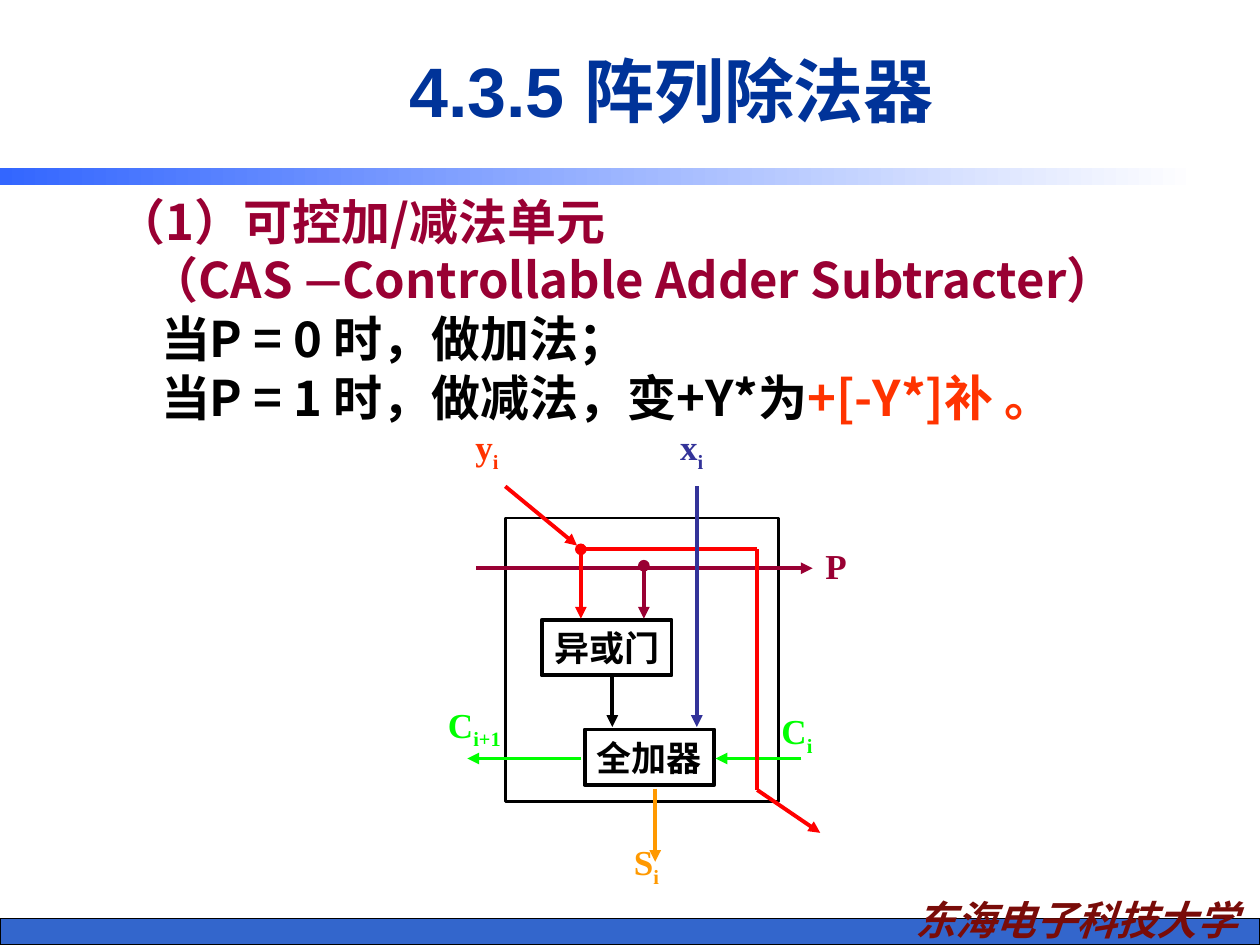
"""Build the slide on the array divider and its controllable add/subtract cell."""
import pptx
import pptx.dml.color
import pptx.enum.shapes
import pptx.enum.text
import pptx.oxml.ns
import pptx.util
from lxml import etree

Inches, Pt = pptx.util.Inches, pptx.util.Pt
ALIGN, ANCHOR = pptx.enum.text.PP_ALIGN, pptx.enum.text.MSO_ANCHOR
CJK, SERIF = "Noto Sans CJK SC", "Times New Roman"
COLORS = {
    "black": "000000", "white": "FFFFFF", "bar": "3366CC", "sky": "3366FF",
    "title": "003399", "school": "790C09", "maroon": "990033", "orange": "FF3300",
    "red": "FF0000", "indigo": "333399", "amber": "FF9900", "green": "00FF00",
}
TITLE = "4.3.5 阵列除法器"
SCHOOL = "东海电子科技大学"
BODY = [
    (0, [("（1）可控加/减法单元", CJK, "maroon")]),
    (0.26, [("（CAS ", CJK, "maroon"), ("—", "Lato", "maroon"),
            ("Controllable Adder Subtracter）", CJK, "maroon")]),
    (0.35, [("当P = 0 时，做加法；", CJK, "black")]),
    (0.35, [("当P = 1 时，做减法，变+Y*为", CJK, "black"), ("+[-Y*]补 。", CJK, "orange")]),
]
CELL = (4.01, 4.11, 2.17, 2.25)
UNITS = [("异或门", (4.3, 4.92, 1.03, 0.44)), ("全加器", (4.64, 5.79, 1.03, 0.44))]
WIRES = [
    ((4.61, 4.36), (6.01, 4.36), "red", None, None),
    ((3.78, 4.51), (6.45, 4.51), "maroon", None, "triangle"),
    ((4.61, 4.36), (4.61, 4.91), "red", "oval", "triangle"),
    ((5.11, 4.49), (5.11, 4.91), "maroon", "oval", "triangle"),
    ((4.01, 3.86), (4.58, 4.33), "red", None, "triangle"),
    ((5.53, 3.86), (5.53, 5.77), "indigo", None, "triangle"),
    ((4.86, 5.36), (4.86, 5.77), "black", None, "triangle"),
    ((5.2, 6.26), (5.2, 6.84), "amber", None, "triangle"),
    ((6.36, 6.02), (5.68, 6.02), "green", None, "triangle"),
    ((4.61, 6.02), (3.71, 6.02), "green", None, "triangle"),
    ((6.01, 4.36), (6.01, 6.27), "red", None, None),
    ((6.01, 6.27), (6.51, 6.61), "red", None, "triangle"),
]
SIGNALS = [
    ("P", "", "maroon", (6.45, 4.27, 0.37, 0.44)),
    ("x", "i", "indigo", (5.3, 3.33, 0.38, 0.48)),
    ("C", "i", "green", (5.95, 5.58, 0.75, 0.48)),
    ("y", "i", "orange", (3.64, 3.33, 0.45, 0.48)),
    ("C", "i+1", "green", (3.11, 5.53, 1.31, 0.48)),
    ("S", "i", "amber", (4.93, 6.62, 0.4, 0.48)),
]


def color(name):
    return pptx.dml.color.RGBColor.from_string(COLORS[name])


def add_child(parent, tag, **attributes):
    return etree.SubElement(parent, pptx.oxml.ns.qn(tag), attributes)


def set_font(font, size, name, shade):
    font.size, font.name, font.bold = Pt(size), name, True
    font.color.rgb = color(shade)


def add_span(para, text, size, name, shade):
    span = para.add_run()
    span.text = text
    set_font(span.font, size, name, shade)
    add_child(span.font._element, "a:ea", typeface=CJK)
    return span


def add_rect(page, place, fill=None, line=None):
    kind = pptx.enum.shapes.MSO_SHAPE.RECTANGLE
    box = page.shapes.add_shape(kind, *map(Inches, place))
    box.shadow.inherit = False
    if fill:
        box.fill.solid()
        box.fill.fore_color.rgb = color(fill)
    else:
        box.fill.background()
    if line:
        box.line.color.rgb = color("black")
        box.line.width = Pt(line)
    else:
        box.line.fill.background()
    return box


def centre(box, wrap=False):
    frame = box.text_frame
    frame.word_wrap = wrap
    frame.vertical_anchor = ANCHOR.MIDDLE
    para = frame.paragraphs[0]
    para.alignment = ALIGN.CENTER
    return para


def add_text(page, place):
    return page.shapes.add_textbox(*map(Inches, place))


def add_wire(page, start, end, shade, head, tail):
    kind = pptx.enum.shapes.MSO_CONNECTOR.STRAIGHT
    wire = page.shapes.add_connector(kind, *map(Inches, start + end))
    wire.line.color.rgb = color(shade)
    wire.line.width = Pt(2.25)
    outline = wire.line._get_or_add_ln()
    for tag, shape in (("a:headEnd", head), ("a:tailEnd", tail)):
        if shape:
            add_child(outline, tag, type=shape)
    add_child(wire._element.spPr, "a:effectLst")


def add_frame(page):
    add_rect(page, (0, 7.29, 10, 0.21), "bar", 0.75)
    school = add_text(page, (6.97, 7.05, 3.15, 0.49))
    add_span(centre(school), SCHOOL, 23, CJK, "school").font.italic = True
    band = add_rect(page, (0, 1.33, 9.51, 0.14))
    band.fill.gradient()
    band.fill.gradient_angle = 0
    for stop, position, shade in zip(band.fill.gradient_stops, (0, 1), ("sky", "white")):
        stop.position = position
        stop.color.rgb = color(shade)
    title = page.shapes.title
    title.left, title.top, title.width, title.height = map(Inches, (1.33, 0.17, 8, 1.08))
    add_span(centre(title, True), TITLE, 40, "Arial", "title")


def add_body(page):
    frame = add_text(page, (0.83, 1.47, 8.58, 2.9)).text_frame
    frame.word_wrap = True
    frame.margin_top = Inches(0.05)
    for index, (indent, spans) in enumerate(BODY):
        para = frame.add_paragraph() if index else frame.paragraphs[0]
        para.line_spacing = Pt(33.5)
        para._p.get_or_add_pPr().set("marL", str(Inches(indent)))
        for text, name, shade in spans:
            add_span(para, text, 28, name, shade)


def add_signal(page, letter, index, shade, place):
    label = add_text(page, place)
    label.text_frame.margin_left = label.text_frame.margin_right = 0
    para = centre(label)
    add_span(para, letter, 20, SERIF, shade)
    if index:
        span = add_span(para, index, 20, SERIF, shade)
        span.font._element.set("baseline", "-25000")


def add_diagram(page):
    add_rect(page, CELL, "white", 1.5)
    for text, place in UNITS:
        add_span(centre(add_rect(page, place, None, 2.25)), text, 20, SERIF, "black")
    for wire in WIRES:
        add_wire(page, *wire)
    for signal in SIGNALS:
        add_signal(page, *signal)


def main():
    deck = pptx.Presentation()
    deck.slide_width, deck.slide_height = Inches(10), Inches(7.5)
    page = deck.slides.add_slide(deck.slide_layouts[5])
    add_frame(page)
    add_body(page)
    add_diagram(page)
    deck.save("out.pptx")


if __name__ == "__main__":
    main()
